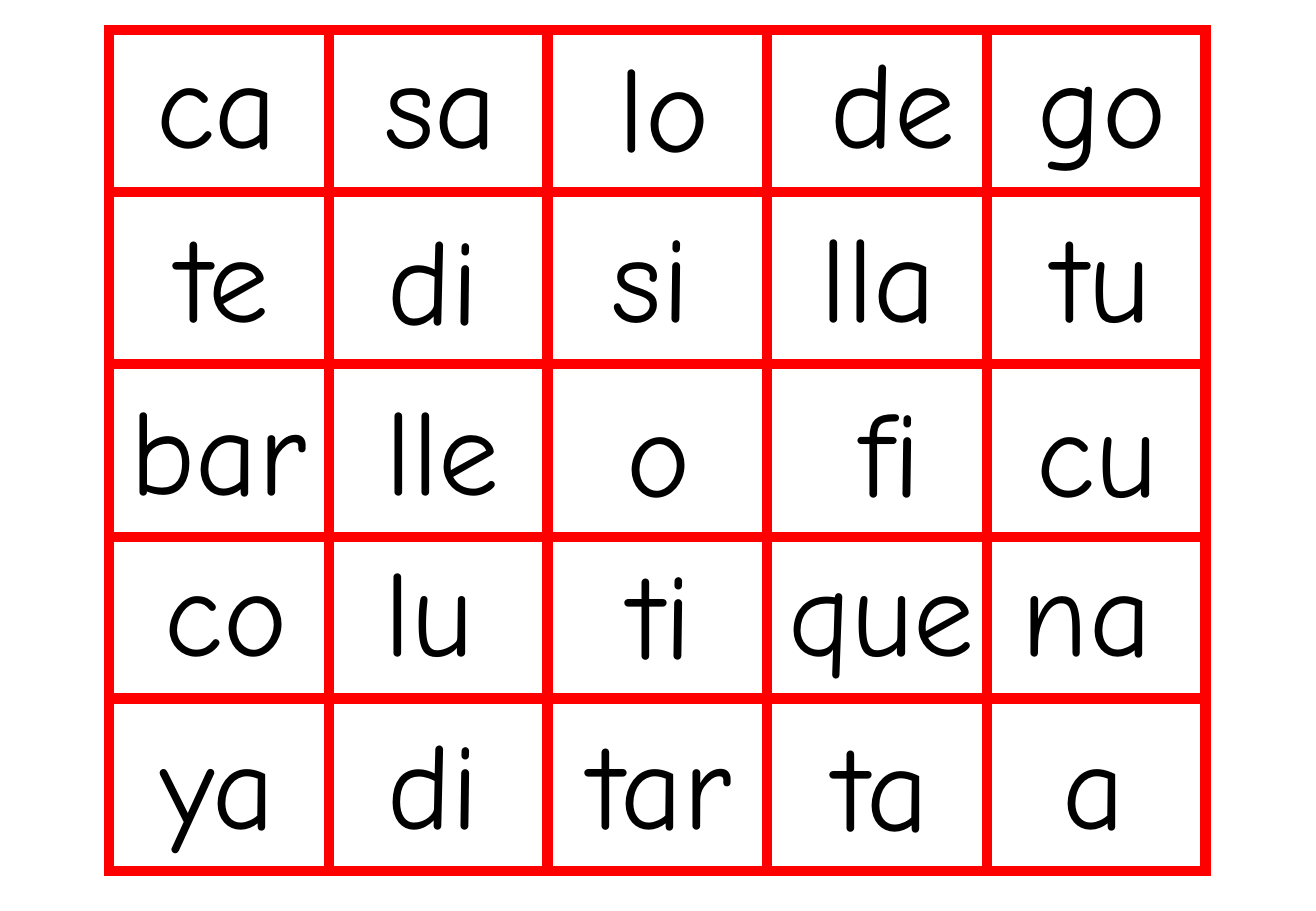
from dataclasses import dataclass
from itertools import product

from lxml.etree import SubElement
from pptx import Presentation
from pptx.dml.color import RGBColor
from pptx.enum.shapes import MSO_CONNECTOR, MSO_SHAPE
from pptx.enum.text import MSO_AUTO_SIZE
from pptx.oxml.ns import qn
from pptx.slide import Slide
from pptx.util import Inches, Pt


@dataclass(frozen=True)
class Theme:
    grid_color: RGBColor = RGBColor(0xFF, 0x00, 0x00)
    text_color: RGBColor = RGBColor(0x00, 0x00, 0x00)
    font_name: str = "Comic Neue"
    syllable_size: Pt = Pt(72)
    grid_width: Pt = Pt(6)


@dataclass(frozen=True)
class Syllable:
    text: str
    left: float
    width: float
    drop: float = 0  # distance below the top of its row


@dataclass(frozen=True)
class SyllableRow:
    top: float
    syllables: tuple[Syllable, ...]


THEME = Theme()
SYLLABLE_HEIGHT = 1.3
WIDTH_SLACK = 0.03  # keeps each syllable on one line

# The board is made of framed blocks; each block lists its cell edges.
COLUMN_BLOCKS = ((0.9, 2.71, 4.51, 6.32), (6.32, 8.13, 9.93))
ROW_BLOCKS = ((0.25, 1.58, 3.0), (3.0, 4.42, 5.75, 7.17))

ROWS = (
    SyllableRow(0.17, (
        Syllable("ca", 1.19, 1.2),
        Syllable("sa", 3.07, 1.13),
        Syllable("lo", 5.0, 0.95, 0.04),
        Syllable("de", 6.74, 1.23),
        Syllable("go", 8.45, 1.26),
    )),
    SyllableRow(1.61, (
        Syllable("te", 1.36, 0.98),
        Syllable("di", 3.09, 0.95, 0.02),
        Syllable("si", 4.94, 0.84),
        Syllable("lla", 6.66, 1.15),
        Syllable("tu", 8.58, 0.99),
    )),
    SyllableRow(3.03, (
        Syllable("bar", 0.98, 1.65),
        Syllable("lle", 3.08, 1.14),
        Syllable("o", 5.06, 0.73, 0.02),
        Syllable("fi", 6.98, 0.7, 0.02),
        Syllable("cu", 8.44, 1.19, 0.02),
    )),
    SyllableRow(4.36, (
        Syllable("co", 1.26, 1.21),
        Syllable("lu", 3.07, 0.93),
        Syllable("ti", 5.09, 0.71, 0.02),
        Syllable("que", 6.4, 1.73),
        Syllable("na", 8.32, 1.27),
    )),
    SyllableRow(5.78, (
        Syllable("ya", 1.22, 1.16),
        Syllable("di", 3.09, 0.95),
        Syllable("tar", 4.76, 1.4),
        Syllable("ta", 6.78, 1.0, 0.02),
        Syllable("a", 8.65, 0.71),
    )),
)


def add_grid_line(slide: Slide, x1: float, y1: float, x2: float, y2: float) -> None:
    rule = slide.shapes.add_connector(
        MSO_CONNECTOR.STRAIGHT, Inches(x1), Inches(y1), Inches(x2), Inches(y2))
    rule.line.color.rgb = THEME.grid_color
    rule.line.width = THEME.grid_width
    SubElement(rule._element.spPr, qn("a:effectLst"))


def add_block(slide: Slide, columns: tuple[float, ...], rows: tuple[float, ...]) -> None:
    """Draw a square-cornered frame and a line at each inner edge."""
    left, *inner_columns, right = columns
    top, *inner_rows, bottom = rows
    frame = slide.shapes.add_shape(
        MSO_SHAPE.RECTANGLE, Inches(left), Inches(top),
        Inches(right - left), Inches(bottom - top))
    frame.shadow.inherit = False
    frame.fill.background()
    frame.line.color.rgb = THEME.grid_color
    frame.line.width = THEME.grid_width
    outline = frame._element.spPr.find(qn("a:ln"))
    SubElement(outline, qn("a:miter"), lim="800000")
    for x in inner_columns:
        add_grid_line(slide, x, top, x, bottom)
    for y in inner_rows:
        add_grid_line(slide, left, y, right, y)


def add_syllable(slide: Slide, syllable: Syllable, row_top: float) -> None:
    box = slide.shapes.add_textbox(
        Inches(syllable.left), Inches(row_top + syllable.drop),
        Inches(syllable.width + WIDTH_SLACK), Inches(SYLLABLE_HEIGHT))
    frame = box.text_frame
    frame.word_wrap = False
    frame.auto_size = MSO_AUTO_SIZE.SHAPE_TO_FIT_TEXT
    paragraph = frame.paragraphs[0]
    paragraph.text = syllable.text
    paragraph.font.name = THEME.font_name
    paragraph.font.size = THEME.syllable_size
    paragraph.font.color.rgb = THEME.text_color


def main() -> None:
    presentation = Presentation()
    presentation.slide_width = Inches(10.84)
    presentation.slide_height = Inches(7.5)
    slide = presentation.slides.add_slide(presentation.slide_layouts[6])

    for columns, rows in product(COLUMN_BLOCKS, ROW_BLOCKS):
        add_block(slide, columns, rows)
    add_grid_line(slide, 6.23, 3.0, 9.84, 3.0)

    for row in ROWS:
        for syllable in row.syllables:
            add_syllable(slide, syllable, row.top)

    presentation.save("out.pptx")


if __name__ == "__main__":
    main()
